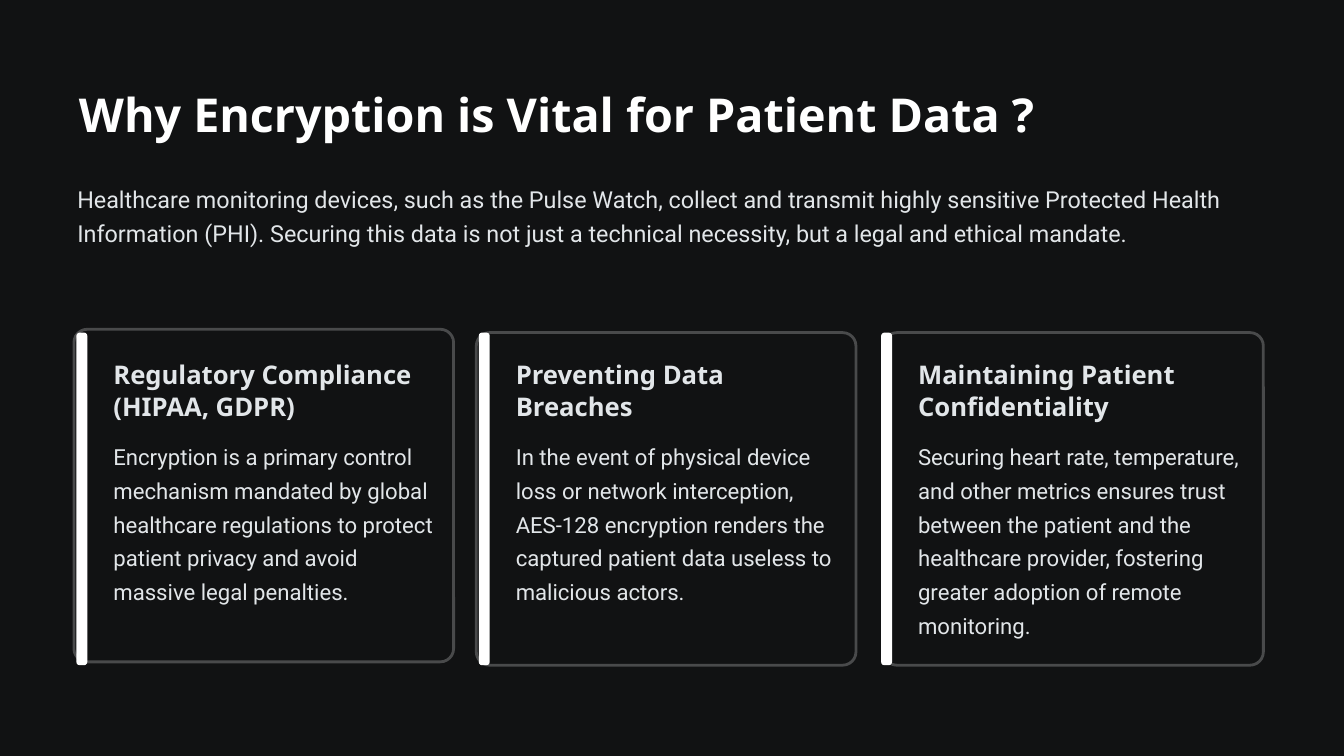
import pptx
import pptx.dml.color
import pptx.enum.shapes
import pptx.enum.text
import pptx.util

SLIDE_WIDTH, SLIDE_HEIGHT = 16, 9
COLUMN_LEFT, COLUMN_PITCH = 0.91, 4.79
CARD_TOP, CARD_WIDTH, CARD_HEIGHT = 3.96, 4.52, 3.96
BAR_WIDTH, TEXT_INDENT, TEXT_WIDTH = 0.13, 0.44, 3.82
DARK, WHITE, PALE, GREY = "111213", "FFFFFF", "E2E6E9", "494A4B"

TITLE = {"name": "Noto Sans", "size": 40, "bold": True, "color": WHITE, "leading": 44}
INTRO = {"name": "Roboto", "size": 20, "bold": False, "color": PALE, "leading": 29}
HEADING = {"name": "Noto Sans", "size": 22, "bold": True, "color": PALE, "leading": 27.5}
BODY = {"name": "Roboto", "size": 19, "bold": False, "color": PALE, "leading": 29}

CARDS = [
    {
        "heading": "Regulatory Compliance (HIPAA, GDPR)",
        "body": "Encryption is a primary control mechanism mandated by global healthcare "
                "regulations to protect patient privacy and avoid massive legal penalties.",
        "shift": (-0.03, -0.04),
        "body_height": 2.02,
    },
    {
        "heading": "Preventing Data Breaches",
        "body": "In the event of physical device loss or network interception, AES-128 "
                "encryption renders the captured patient data useless to malicious actors.",
        "shift": (-0.03, 0),
        "body_height": 2.02,
    },
    {
        "heading": "Maintaining Patient Confidentiality",
        "body": "Securing heart rate, temperature, and other metrics ensures trust between "
                "the patient and the healthcare provider, fostering greater adoption of "
                "remote monitoring.",
        "shift": (0.03, 0),
        "body_height": 2.43,
    },
]


def rgb(value):
    return pptx.dml.color.RGBColor.from_string(value)


def inches(*lengths):
    return [pptx.util.Inches(length) for length in lengths]


def paint(fill, color):
    fill.solid()
    fill.fore_color.rgb = rgb(color)


def add_text(page, area, text, style):
    box = page.shapes.add_textbox(*inches(*area))
    frame = box.text_frame
    settings = {
        "word_wrap": True,
        "auto_size": pptx.enum.text.MSO_AUTO_SIZE.NONE,
        "vertical_anchor": pptx.enum.text.MSO_ANCHOR.TOP,
        "margin_left": 0,
        "margin_top": 0,
        "margin_right": 0,
        "margin_bottom": 0,
    }
    for key, value in settings.items():
        setattr(frame, key, value)
    para = frame.paragraphs[0]
    para.line_spacing = pptx.util.Pt(style["leading"])
    span = para.add_run()
    span.text = text
    font = {"name": style["name"], "size": pptx.util.Pt(style["size"]), "bold": style["bold"]}
    for key, value in font.items():
        setattr(span.font, key, value)
    span.font.color.rgb = rgb(style["color"])


def add_panel(page, area, color, rounding, outline=None):
    panel = page.shapes.add_shape(
        pptx.enum.shapes.MSO_SHAPE.ROUNDED_RECTANGLE, *inches(*area))
    panel.adjustments[0] = rounding
    panel.shadow.inherit = False
    paint(panel.fill, color)
    if outline:
        paint(panel.line.fill, outline)
        panel.line.width = pptx.util.Pt(2.4)
    else:
        panel.line.fill.background()


def add_card(page, column, card):
    left = COLUMN_LEFT + column * COLUMN_PITCH
    shift_x, shift_y = card["shift"]
    add_panel(page, (left + shift_x, CARD_TOP + shift_y, CARD_WIDTH, CARD_HEIGHT),
              DARK, 0.04, GREY)
    add_panel(page, (left, CARD_TOP, BAR_WIDTH, CARD_HEIGHT), WHITE, 0.3)
    text_left = left + TEXT_INDENT
    add_text(page, (text_left, CARD_TOP + 0.3, TEXT_WIDTH, 0.77), card["heading"], HEADING)
    add_text(page, (text_left, CARD_TOP + 1.23, TEXT_WIDTH, card["body_height"]),
             card["body"], BODY)


def main():
    deck = pptx.Presentation()
    deck.slide_width, deck.slide_height = inches(SLIDE_WIDTH, SLIDE_HEIGHT)
    page = deck.slides.add_slide(deck.slide_layouts[6])
    paint(page.background.fill, DARK)
    add_text(page, (0.94, 1.08, 14.11, 0.71),
             "Why Encryption is Vital for Patient Data ?", TITLE)
    add_text(page, (0.92, 2.14, 14.11, 0.81),
             "Healthcare monitoring devices, such as the Pulse Watch, collect and transmit "
             "highly sensitive Protected Health Information (PHI). Securing this data is not "
             "just a technical necessity, but a legal and ethical mandate.", INTRO)
    for column, card in enumerate(CARDS):
        add_card(page, column, card)
    deck.save("out.pptx")


if __name__ == "__main__":
    main()
